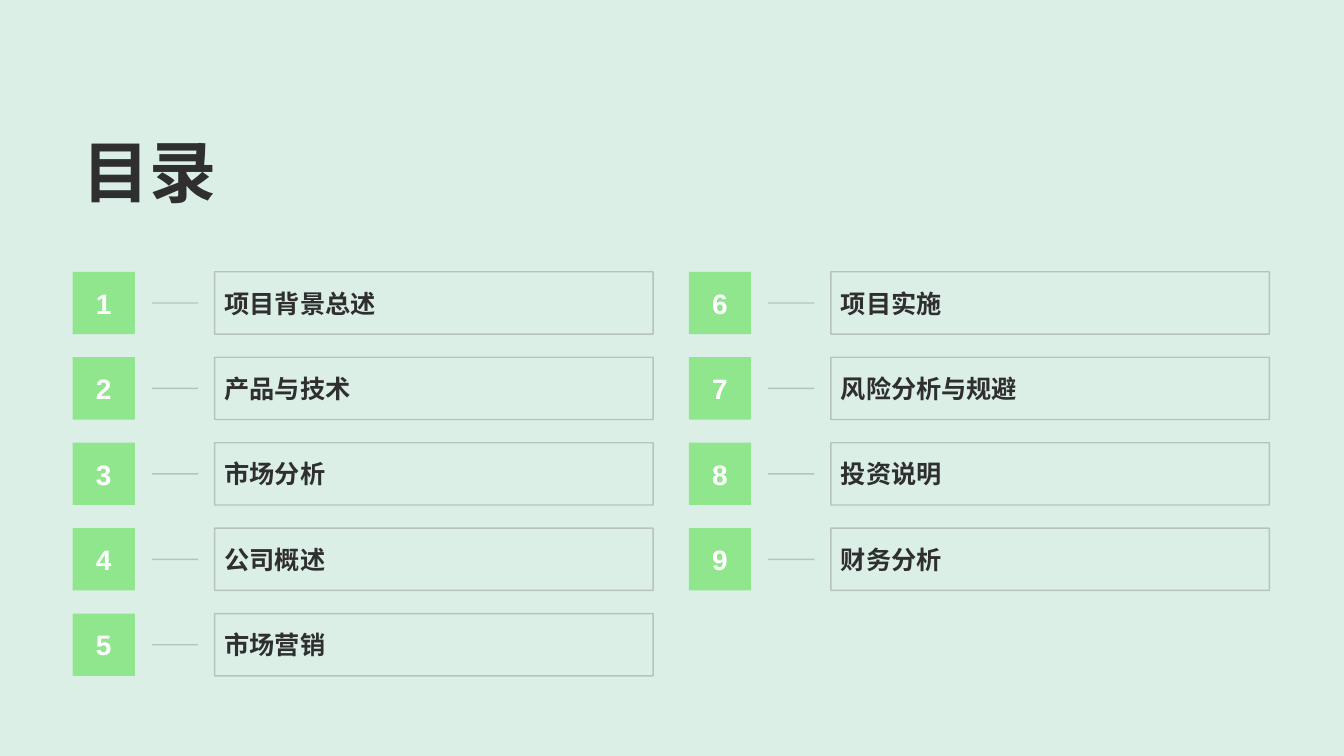
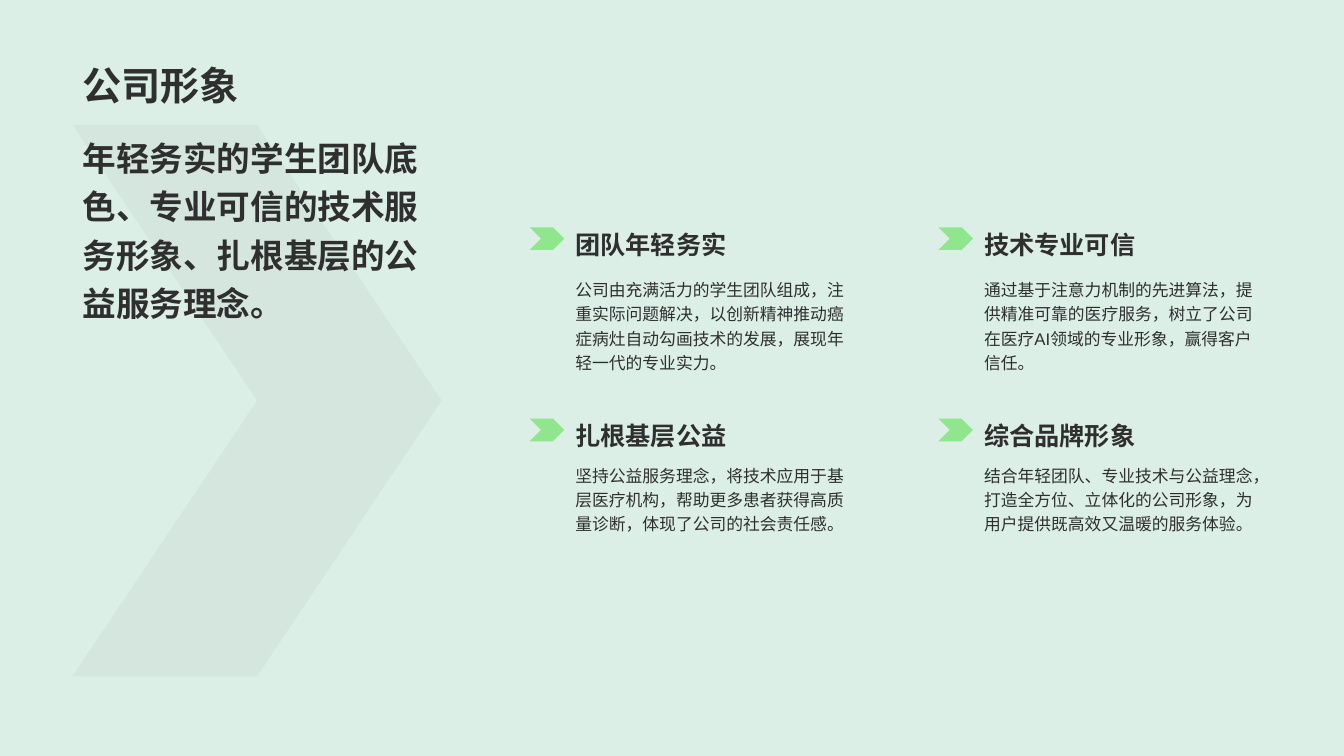
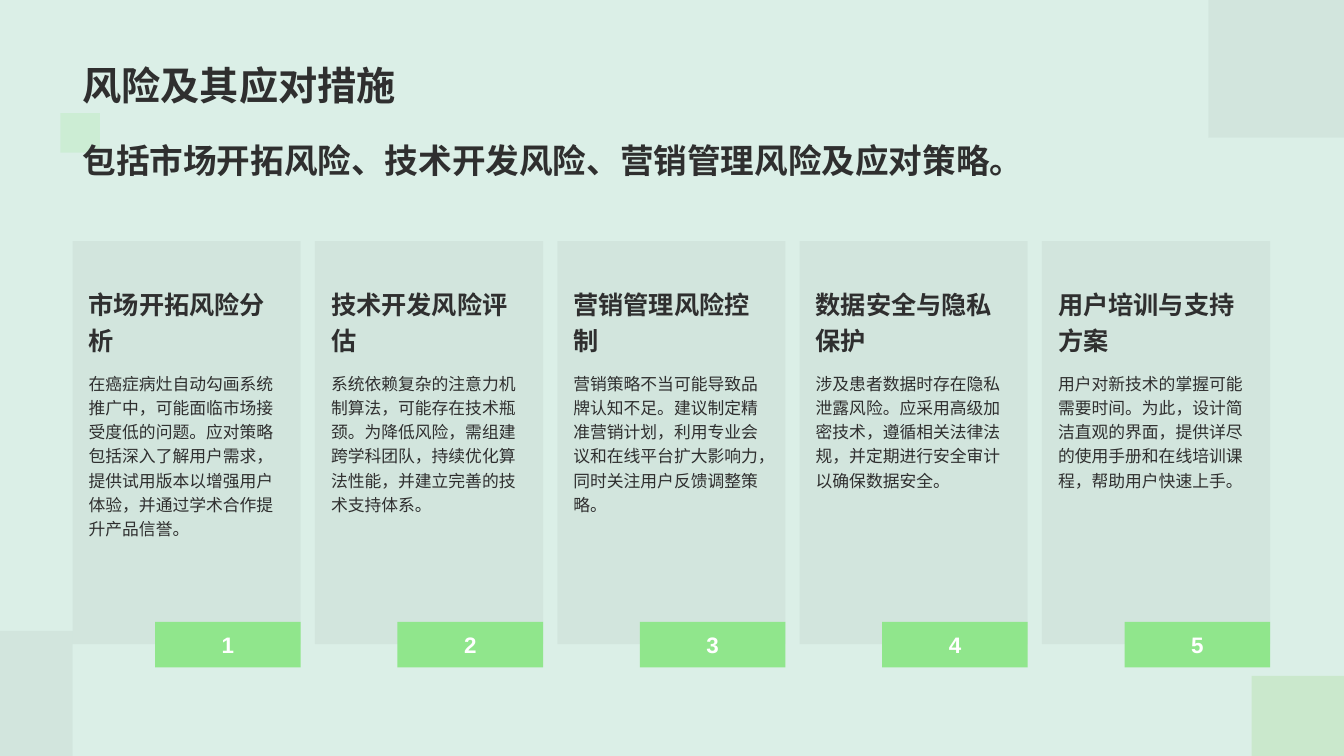
"""Build three pale green slides: contents, company image and risk measures."""
from dataclasses import dataclass
from typing import Optional

from lxml.etree import SubElement
from pptx import Presentation
from pptx.dml.color import RGBColor
from pptx.enum.lang import MSO_LANGUAGE_ID as LANG
from pptx.enum.shapes import MSO_CONNECTOR as CONN, MSO_SHAPE as SHAPE
from pptx.enum.text import MSO_ANCHOR as ANCHOR, PP_ALIGN as ALIGN
from pptx.oxml.ns import qn
from pptx.util import Cm, Pt

COLORS = {
    "back": "DBEFE7",
    "ink": "2F2F2F",
    "green": "90E68C",
    "leaf": "86CC64",
    "grey": "979797",
    "white": "FFFFFF",
}
FONT = "Arial"
WIDTH, HEIGHT = 33.87, 19.05
LEFT, TOP, CONTENT_W = 1.83, 3.15, 30.18


@dataclass(frozen=True)
class Box:
    x: float
    y: float
    w: float
    h: float

    def lengths(self) -> tuple:
        return Cm(self.x), Cm(self.y), Cm(self.w), Cm(self.h)


@dataclass(frozen=True)
class Style:
    size: int
    bold: bool = True
    color: str = "ink"
    align: ALIGN = ALIGN.LEFT
    anchor: ANCHOR = ANCHOR.TOP
    spacing: Optional[float] = None


@dataclass(frozen=True)
class Paint:
    color: str
    alpha: int = 100


@dataclass(frozen=True)
class Item:
    heading: str
    body: str


COVER = Style(48)
TITLE = Style(28, anchor=ANCHOR.BOTTOM)
SUBTITLE = Style(24, anchor=ANCHOR.MIDDLE)
STATEMENT = Style(24, spacing=1.2)
HEADING = Style(18, spacing=1.2)
BODY = Style(12, bold=False, spacing=1.2)
ENTRY = Style(18, anchor=ANCHOR.MIDDLE)
NUMBER = Style(20, color="white", align=ALIGN.CENTER, anchor=ANCHOR.MIDDLE)
BADGE = Style(16, color="white", align=ALIGN.CENTER, anchor=ANCHOR.MIDDLE)

GREEN = Paint("green")
SHADE = Paint("ink", 5)
OUTLINE = Paint("grey", 50)

CONTENTS = ["项目背景总述", "产品与技术", "市场分析", "公司概述", "市场营销",
            "项目实施", "风险分析与规避", "投资说明", "财务分析"]

IMAGE_ITEMS = [
    Item("团队年轻务实", "公司由充满活力的学生团队组成，注重实际问题解决，以创新精神推动癌症病灶自动勾画技术的发展，展现年轻一代的专业实力。"),
    Item("技术专业可信", "通过基于注意力机制的先进算法，提供精准可靠的医疗服务，树立了公司在医疗AI领域的专业形象，赢得客户信任。"),
    Item("扎根基层公益", "坚持公益服务理念，将技术应用于基层医疗机构，帮助更多患者获得高质量诊断，体现了公司的社会责任感。"),
    Item("综合品牌形象", "结合年轻团队、专业技术与公益理念，打造全方位、立体化的公司形象，为用户提供既高效又温暖的服务体验。"),
]

RISKS = [
    Item("市场开拓风险分析", "在癌症病灶自动勾画系统推广中，可能面临市场接受度低的问题。应对策略包括深入了解用户需求，提供试用版本以增强用户体验，并通过学术合作提升产品信誉。"),
    Item("技术开发风险评估", "系统依赖复杂的注意力机制算法，可能存在技术瓶颈。为降低风险，需组建跨学科团队，持续优化算法性能，并建立完善的技术支持体系。"),
    Item("营销管理风险控制", "营销策略不当可能导致品牌认知不足。建议制定精准营销计划，利用专业会议和在线平台扩大影响力，同时关注用户反馈调整策略。"),
    Item("数据安全与隐私保护", "涉及患者数据时存在隐私泄露风险。应采用高级加密技术，遵循相关法律法规，并定期进行安全审计以确保数据安全。"),
    Item("用户培训与支持方案", "用户对新技术的掌握可能需要时间。为此，设计简洁直观的界面，提供详尽的使用手册和在线培训课程，帮助用户快速上手。"),
]


def rgb(name: str) -> RGBColor:
    return RGBColor.from_string(COLORS[name])


def set_alpha(sp, alpha: int) -> None:
    if alpha < 100:
        for color in sp.element.spPr.iter(qn("a:srgbClr")):
            SubElement(color, qn("a:alpha")).set("val", str(alpha * 1000))


def write(sp, text: str, style: Style) -> None:
    tf = sp.text_frame
    tf.word_wrap = True
    tf.vertical_anchor = style.anchor
    p = tf.paragraphs[0]
    p.text = text
    p.alignment = style.align
    if style.spacing:
        p.line_spacing = style.spacing
    font = p.font
    font.name, font.size, font.bold = FONT, Pt(style.size), style.bold
    font.color.rgb = rgb(style.color)
    font.language_id = LANG.SIMPLIFIED_CHINESE


def add_text(s, box: Box, text: str, style: Style) -> None:
    write(s.shapes.add_textbox(*box.lengths()), text, style)


def set_line(sp, paint: Paint) -> None:
    sp.line.color.rgb = rgb(paint.color)
    sp.line.width = Pt(1)
    set_alpha(sp, paint.alpha)


def add_filled(s, box: Box, paint: Paint, kind: SHAPE = SHAPE.RECTANGLE):
    sp = s.shapes.add_shape(kind, *box.lengths())
    sp.shadow.inherit = False
    sp.fill.solid()
    sp.fill.fore_color.rgb = rgb(paint.color)
    sp.line.fill.background()
    set_alpha(sp, paint.alpha)
    return sp


def add_outlined(s, box: Box, paint: Paint):
    sp = s.shapes.add_shape(SHAPE.RECTANGLE, *box.lengths())
    sp.shadow.inherit = False
    sp.fill.background()
    set_line(sp, paint)
    return sp


def add_rule(s, x1: float, x2: float, y: float, paint: Paint) -> None:
    sp = s.shapes.add_connector(CONN.STRAIGHT, Cm(x1), Cm(y), Cm(x2), Cm(y))
    set_line(sp, paint)
    SubElement(sp.element.spPr, qn("a:effectLst"))


def add_slide(prs):
    s = prs.slides.add_slide(prs.slide_layouts[6])
    s.background.fill.solid()
    s.background.fill.fore_color.rgb = rgb("back")
    return s


def add_title(s, text: str) -> None:
    add_text(s, Box(LEFT, 0.36, CONTENT_W, 2.49), text, TITLE)


def contents_slide(prs) -> None:
    s = add_slide(prs)
    add_text(s, Box(LEFT, TOP, 9.19, 2.31), "目录", COVER)
    side = 1.57
    for i, entry in enumerate(CONTENTS):
        col, row = divmod(i, 5)
        x, y = LEFT + col * 15.53, 6.85 + row * 2.153
        write(add_filled(s, Box(x, y, side, side), GREEN), str(i + 1), NUMBER)
        write(add_outlined(s, Box(x + 3.58, y, 11.05, side), OUTLINE), entry, ENTRY)
        add_rule(s, x + 2, x + 3.16, y + side / 2, OUTLINE)


def image_slide(prs) -> None:
    s = add_slide(prs)
    panel = Box(LEFT, TOP, 9.3, 13.89)
    add_filled(s, panel, Paint("grey", 10), SHAPE.CHEVRON)
    rows = [(5.49, 1.34), (10.31, 1.2)]
    for i, item in enumerate(IMAGE_ITEMS):
        row, col = divmod(i, 2)
        x = 14.25 + col * 10.3
        y, heading_h = rows[row]
        add_text(s, Box(x, y + heading_h, 7.42, 3.18), item.body, BODY)
        add_text(s, Box(x, y, 7.42, heading_h), item.heading, HEADING)
        add_filled(s, Box(x - 0.9, y + 0.24, 0.87, 0.57), GREEN, SHAPE.CHEVRON)
    add_text(s, panel, "年轻务实的学生团队底色、专业可信的技术服务形象、扎根基层的公益服务理念。", STATEMENT)
    add_title(s, "公司形象")


def risk_slide(prs) -> None:
    s = add_slide(prs)
    add_filled(s, Box(WIDTH - 3.42, 0, 3.42, 3.47), SHADE)
    add_filled(s, Box(WIDTH - 2.33, HEIGHT - 2.02, 2.33, 2.02), Paint("leaf", 20))
    add_filled(s, Box(1.52, 2.85, 1, 1), Paint("green", 20))
    add_filled(s, Box(0, HEIGHT - 3.15, LEFT, 3.15), SHADE)
    add_text(s, Box(LEFT, TOP, CONTENT_W, 1.75), "包括市场开拓风险、技术开发风险、营销管理风险及应对策略。", SUBTITLE)
    card_w, badge_w, text_w = 5.75, 3.67, 5.44
    pitch = (CONTENT_W - card_w) / (len(RISKS) - 1)
    for i, risk in enumerate(RISKS):
        x = LEFT + i * pitch
        text_x = x + (card_w - text_w) / 2
        add_filled(s, Box(x, 6.08, card_w, 10.15), SHADE)
        badge = add_filled(s, Box(x + card_w - badge_w, 15.67, badge_w, 1.15), GREEN)
        write(badge, str(i + 1), BADGE)
        add_text(s, Box(text_x, 9.19, text_w, 4.6), risk.body, BODY)
        add_text(s, Box(text_x, 7.01, text_w, 2.18), risk.heading, HEADING)
    add_title(s, "风险及其应对措施")


def main() -> None:
    prs = Presentation()
    prs.slide_width, prs.slide_height = Cm(WIDTH), Cm(HEIGHT)
    contents_slide(prs)
    image_slide(prs)
    risk_slide(prs)
    prs.save("out.pptx")


if __name__ == "__main__":
    main()
